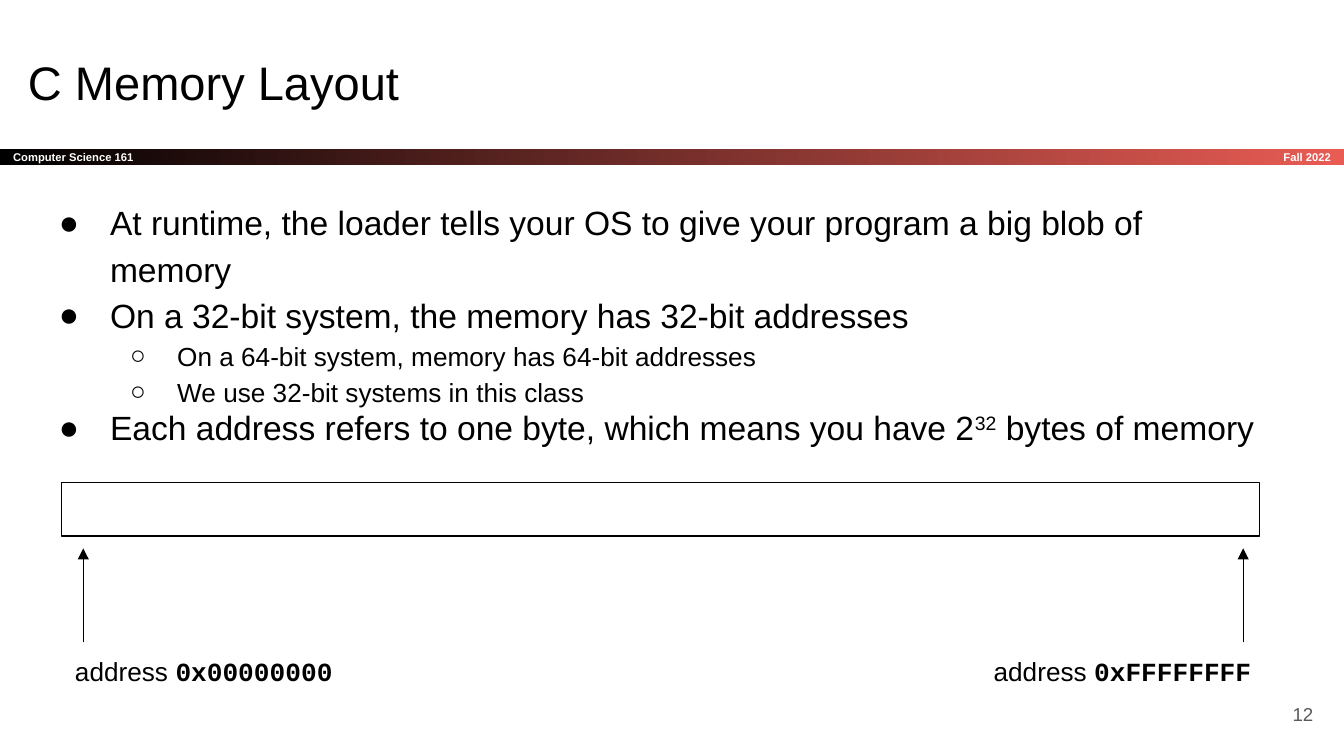
"""Build the C Memory Layout slide."""
import pptx
import pptx.util
import pptx.dml.color
import pptx.enum.shapes
import pptx.enum.text
import pptx.oxml.ns
from lxml import etree

Inches, Pt = pptx.util.Inches, pptx.util.Pt
RGBColor = pptx.dml.color.RGBColor
ANCHOR, ALIGN = pptx.enum.text.MSO_ANCHOR, pptx.enum.text.PP_ALIGN
SHAPE, CONNECTOR = pptx.enum.shapes.MSO_SHAPE, pptx.enum.shapes.MSO_CONNECTOR
qn = pptx.oxml.ns.qn

BLACK = RGBColor(0x00, 0x00, 0x00)
WHITE = RGBColor(0xFF, 0xFF, 0xFF)
CORAL = RGBColor(0xE8, 0x5C, 0x54)
GRAY = RGBColor(0x59, 0x59, 0x59)

TITLE = {"name": "Arial", "size": Pt(25.2), "color": BLACK}
BAND = {"name": "Arial", "size": Pt(6), "color": WHITE, "bold": True}
NUMBER = {"name": "Arial", "size": Pt(10), "color": GRAY}
LABEL = {"name": "Arial", "size": Pt(14), "color": BLACK}
CODE = LABEL | {"name": "Courier New", "bold": True}
LEVELS = [
    {"bullet": "●", "margin": 0.5, "indent": -0.38, "format": LABEL | {"size": Pt(18)}},
    {"bullet": "○", "margin": 1, "indent": -0.35, "format": LABEL},
]

BULLETS = [
    (0, 1.15, ["At runtime, the loader tells your OS to give your program a big blob of memory"]),
    (0, 1.15, ["On a 32-bit system, the memory has 32-bit addresses"]),
    (1, 1.15, ["On a 64-bit system, memory has 64-bit addresses"]),
    (1, 1.15, ["We use 32-bit systems in this class"]),
    (0, 1, ["Each address refers to one byte, which means you have 2", "32", " bytes of memory"]),
]
TEXTS = [
    ((0.11, 0.3, 9.32, 0.63), [("C Memory Layout", TITLE)], ALIGN.LEFT, ANCHOR.TOP),
    ((8.34, 1.11, 1.66, 0.12), [("Fall 2022", BAND)], ALIGN.RIGHT, ANCHOR.MIDDLE),
    ((9.27, 5.1, 0.6, 0.43), [("12", NUMBER)], ALIGN.RIGHT, ANCHOR.MIDDLE),
]
SLIDE_WIDTH = Inches(10)
SLIDE_HEIGHT = SLIDE_WIDTH * 9 // 16
BAND_BOX = (0, 1.11, 10, 0.12)
BODY_BOX = (0.22, 1.36, 9.32, 4.12)
MEMORY_BOX = (0.46, 3.59, 8.91, 0.4)
ARROW_TOP, LABEL_TOP = 4.08, 4.78
ADDRESSES = [
    (0.62, 0.46, "0x00000000", ALIGN.LEFT),
    (9.25, 7.15, "0xFFFFFFFF", ALIGN.RIGHT),
]


def add_run(paragraph, text, formats):
    run = paragraph.add_run()
    run.text = text
    for name, value in formats.items():
        if name == "color":
            run.font.color.rgb = value
        else:
            setattr(run.font, name, value)
    return run


def prepare_frame(shape, anchor):
    frame = shape.text_frame
    settings = {"word_wrap": True, "vertical_anchor": anchor}
    settings |= {f"margin_{side}": Inches(0.1) for side in ("left", "top", "right", "bottom")}
    for name, value in settings.items():
        setattr(frame, name, value)
    return frame


def write_line(shape, runs, alignment, anchor):
    paragraph = prepare_frame(shape, anchor).paragraphs[0]
    paragraph.alignment = alignment
    for text, formats in runs:
        add_run(paragraph, text, formats)


def add_box(slide, box):
    return slide.shapes.add_textbox(*map(Inches, box))


def add_rectangle(slide, box):
    shape = slide.shapes.add_shape(SHAPE.RECTANGLE, *map(Inches, box))
    shape.shadow.inherit = False
    return shape


def add_bullet(paragraph, level):
    properties = paragraph._p.get_or_add_pPr()
    properties.set("marL", str(Inches(level["margin"])))
    properties.set("indent", str(Inches(level["indent"])))
    color = etree.SubElement(properties, qn("a:buClr"))
    etree.SubElement(color, qn("a:srgbClr"), val=str(BLACK))
    etree.SubElement(properties, qn("a:buFont"), typeface="Arial")
    etree.SubElement(properties, qn("a:buChar"), char=level["bullet"])


def add_body(slide):
    frame = prepare_frame(add_box(slide, BODY_BOX), ANCHOR.TOP)
    for index, (depth, spacing, pieces) in enumerate(BULLETS):
        paragraph = frame.add_paragraph() if index else frame.paragraphs[0]
        level = LEVELS[depth]
        add_bullet(paragraph, level)
        paragraph.level = depth
        paragraph.line_spacing = spacing
        for position, text in enumerate(pieces):
            run = add_run(paragraph, text, level["format"])
            if position == 1:
                run.font._element.set("baseline", "30000")


def add_arrow(slide, x):
    arrow = slide.shapes.add_connector(
        CONNECTOR.STRAIGHT, Inches(x), Inches(LABEL_TOP), Inches(x), Inches(ARROW_TOP))
    arrow.line.color.rgb = BLACK
    arrow.line.width = Pt(0.75)
    etree.SubElement(arrow.line._get_or_add_ln(), qn("a:tailEnd"), type="triangle")
    etree.SubElement(arrow._element.spPr, qn("a:effectLst"))


def main():
    presentation = pptx.Presentation()
    presentation.slide_width = SLIDE_WIDTH
    presentation.slide_height = SLIDE_HEIGHT
    slide = presentation.slides.add_slide(presentation.slide_layouts[6])

    band = add_rectangle(slide, BAND_BOX)
    band.line.fill.background()
    band.fill.gradient()
    band.fill.gradient_angle = 0
    for stop, color, position in zip(band.fill.gradient_stops, (BLACK, CORAL), (0, 1)):
        stop.color.rgb = color
        stop.position = position
    write_line(band, [("Computer Science 161", BAND)], ALIGN.LEFT, ANCHOR.MIDDLE)

    for box, runs, alignment, anchor in TEXTS:
        write_line(add_box(slide, box), runs, alignment, anchor)
    add_body(slide)

    memory = add_rectangle(slide, MEMORY_BOX)
    memory.fill.background()
    memory.line.color.rgb = BLACK
    memory.line.width = Pt(0.75)
    for arrow_x, label_left, address, alignment in ADDRESSES:
        add_arrow(slide, arrow_x)
        label = add_box(slide, (label_left, LABEL_TOP, 2.26, 0.4))
        write_line(label, [("address ", LABEL), (address, CODE)], alignment, ANCHOR.TOP)

    presentation.save("out.pptx")


if __name__ == "__main__":
    main()
